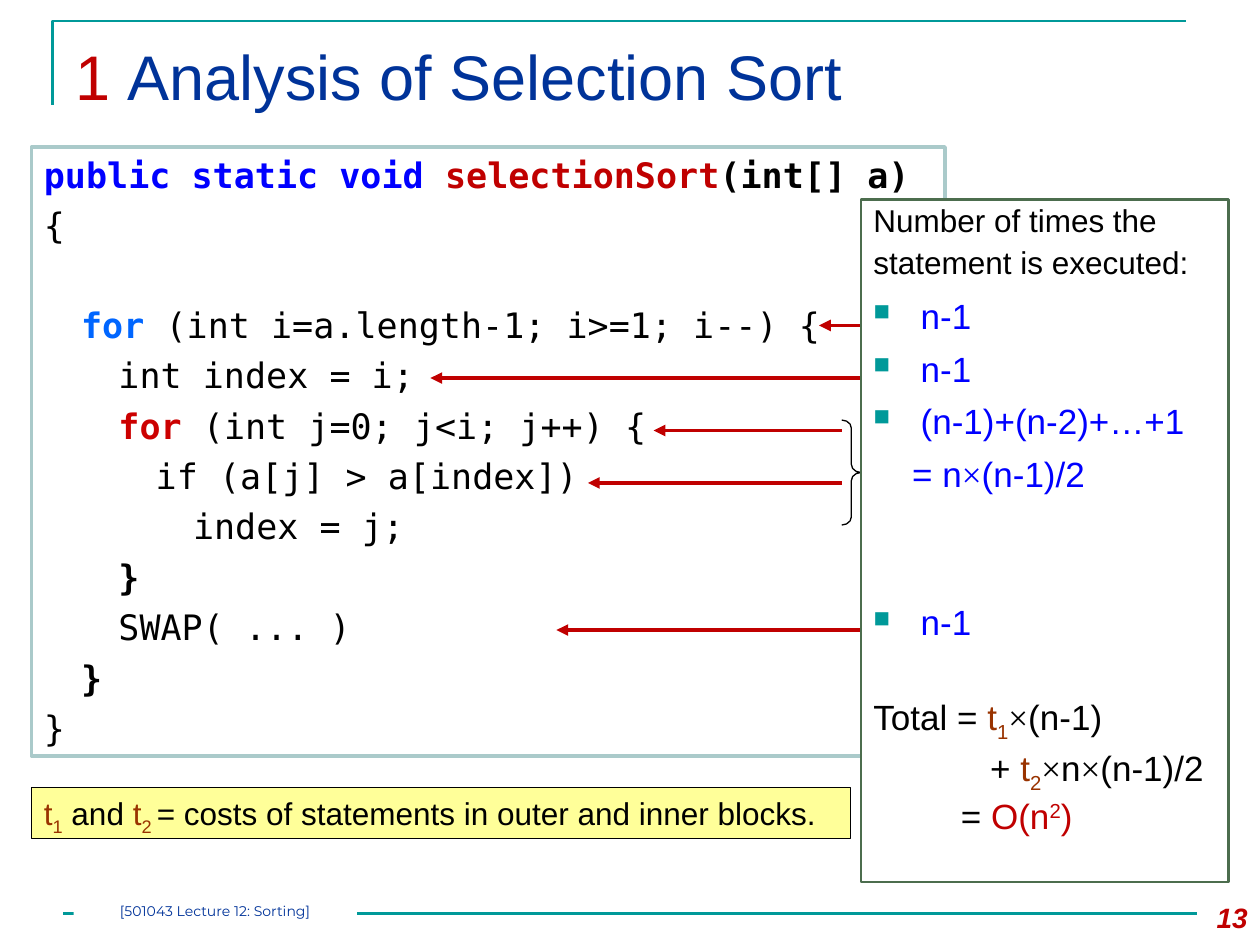
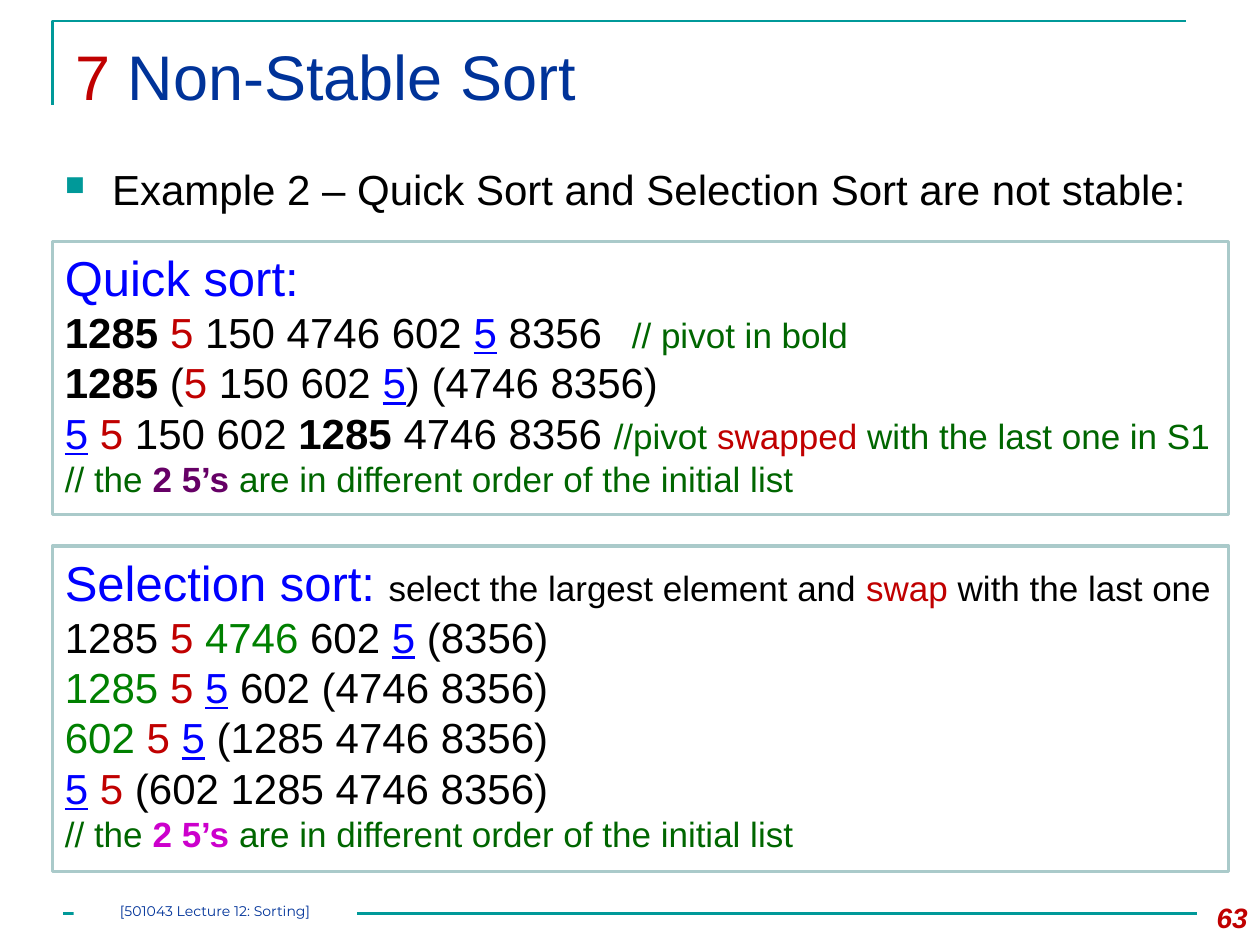
from dataclasses import dataclass
from typing import NamedTuple

from lxml import etree
from pptx import Presentation
from pptx.dml.color import RGBColor
from pptx.enum.shapes import MSO_CONNECTOR, MSO_SHAPE
from pptx.enum.text import MSO_ANCHOR, PP_ALIGN
from pptx.oxml.ns import qn
from pptx.util import Pt

STRAIGHT = MSO_CONNECTOR.STRAIGHT
RECTANGLE, RIGHT_BRACE = MSO_SHAPE.RECTANGLE, MSO_SHAPE.RIGHT_BRACE
TOP = MSO_ANCHOR.TOP
LEFT, CENTER, RIGHT = PP_ALIGN.LEFT, PP_ALIGN.CENTER, PP_ALIGN.RIGHT

SANS, MONO, SERIF, FOOTER_FONT = "Arial", "DejaVu Sans Mono", "Times New Roman", "Montserrat"
TEAL, PALE_TEAL, MOSS = "009999", "AACACA", "4C6D4E"
NAVY, BLUE, SKY = "003399", "0000FF", "0066FF"
RED, BRIGHT_RED, RUST = "C00000", "CC0000", "993300"
GREEN, COMMENT_GREEN = "008000", "006600"
PLUM, MAGENTA = "660066", "CC00CC"
BLACK, WHITE, YELLOW = "000000", "FFFFFF", "FFFF99"
CODE_INDENT = 21.3
HANG = 27


class Area(NamedTuple):
    left: float
    top: float
    width: float
    height: float


class Span(NamedTuple):
    text: str
    color: str = BLACK
    bold: bool = False
    italic: bool = False
    underline: bool = False
    size: float | None = None
    font: str | None = None
    baseline: int = 0


@dataclass
class Line:
    spans: list[Span]
    size: float = 20
    font: str = SANS
    before: float = 0
    spacing: float | None = None
    left: float = 0
    bullet: bool = False
    tab: float | None = None
    align: PP_ALIGN = LEFT


def rgb(value: str) -> RGBColor:
    return RGBColor.from_string(value)


def add_child(parent, tag: str, **attributes: str):
    return etree.SubElement(parent, qn(tag), attributes)


def write_line(para, line: Line) -> None:
    para.alignment = line.align
    para.space_before = Pt(line.before)
    if line.spacing:
        para.line_spacing = line.spacing
    properties = para._p.get_or_add_pPr()
    left = line.left + (HANG if line.bullet else 0)
    properties.set("marL", str(Pt(left)))
    properties.set("indent", str(Pt(-HANG if line.bullet else 0)))
    if line.bullet:
        add_child(add_child(properties, "a:buClr"), "a:srgbClr", val=TEAL)
        add_child(properties, "a:buSzPct", val="65000")
        add_child(properties, "a:buChar", char="■")
    if line.tab:
        add_child(add_child(properties, "a:tabLst"), "a:tab", pos=str(Pt(line.tab)), algn="l")
    for span in line.spans:
        run = para.add_run()
        run.text = span.text
        font = run.font
        font.name = span.font or line.font
        font.size = Pt(span.size or line.size)
        font.bold, font.italic, font.underline = span.bold, span.italic, span.underline
        font.color.rgb = rgb(span.color)
        if span.baseline:
            run._r.get_or_add_rPr().set("baseline", str(span.baseline * 1000))


def write_lines(shape, lines: list[Line], inset: bool = True) -> None:
    frame = shape.text_frame
    frame.word_wrap = True
    frame.vertical_anchor = TOP
    side, edge = (7.2, 3.6) if inset else (0, 0)
    frame.margin_left = frame.margin_right = Pt(side)
    frame.margin_top = frame.margin_bottom = Pt(edge)
    for index, line in enumerate(lines):
        write_line(frame.add_paragraph() if index else frame.paragraphs[0], line)


def add_text(page, area: Area, lines: list[Line]) -> None:
    write_lines(page.shapes.add_textbox(*map(Pt, area)), lines)


def add_box(page, area: Area, lines: list[Line], fill: str = WHITE,
            border: str | None = None, weight: float = 2, inset: bool = True) -> None:
    box = page.shapes.add_shape(RECTANGLE, *map(Pt, area))
    box.shadow.inherit = False
    box.fill.solid()
    box.fill.fore_color.rgb = rgb(fill)
    if border:
        box.line.color.rgb = rgb(border)
        box.line.width = Pt(weight)
    else:
        box.line.fill.background()
    write_lines(box, lines, inset)


def add_rule(page, start: float, end: float, y: float, color: str,
             weight: float, arrow: bool = False) -> None:
    rule = page.shapes.add_connector(STRAIGHT, Pt(start), Pt(y), Pt(end), Pt(y))
    rule.line.color.rgb = rgb(color)
    rule.line.width = Pt(weight)
    if arrow:
        add_child(rule.line._get_or_add_ln(), "a:tailEnd", type="triangle")
    add_child(rule._element.spPr, "a:effectLst")


def add_page(deck, section: str, title: str, number: str):
    page = deck.slides.add_slide(deck.slide_layouts[6])
    builder = page.shapes.build_freeform(Pt(30), Pt(60))
    builder.add_line_segments([(Pt(30), Pt(12)), (Pt(678), Pt(12))], close=False)
    corner = builder.convert_to_shape()
    corner.shadow.inherit = False
    corner.fill.background()
    corner.line.color.rgb = rgb(TEAL)
    corner.line.width = Pt(1.5)
    add_rule(page, 36, 684, 522, TEAL, 1.5)
    add_text(page, Area(36, 18, 648, 62),
             [Line([Span(section + " ", RED), Span(title, NAVY)], size=36)])
    add_text(page, Area(672, 511.2, 48, 28.8),
             [Line([Span(number, RED, bold=True, italic=True)], size=16, align=RIGHT)])
    add_box(page, Area(42, 516, 162, 12),
            [Line([Span("[501043 Lecture 12: Sorting]", NAVY)], size=8,
                  font=FOOTER_FONT, align=CENTER)], inset=False)
    return page


def code(level: int, *spans: Span, before: float = 4.8) -> Line:
    return Line(list(spans), font=MONO, before=before, left=level * CODE_INDENT)


def count(text: str, before: float = 6) -> Line:
    return Line([Span(text, BLUE)], before=before, bullet=True)


def total(*spans: Span, left: float = 0, before: float = 4.8) -> Line:
    return Line(list(spans), before=before, spacing=0.9, left=left)


def cost(index: str) -> list[Span]:
    return [Span("t", RUST), Span(index, RUST, baseline=-25)]


def times(color: str = BLACK) -> Span:
    return Span("×", color, font=SERIF)


def red(text: str) -> Span:
    return Span(text, RED)


def green(text: str) -> Span:
    return Span(text, GREEN)


def bold(text: str) -> Span:
    return Span(text, bold=True)


def remark(text: str, color: str = COMMENT_GREEN) -> Span:
    return Span(text, color, size=20)


def numbers(*spans: Span, tab: float | None = None) -> Line:
    return Line(list(spans), size=24, tab=tab)


def order_remark(color: str) -> Line:
    return Line([remark("// the "), Span("2 5’s ", color, bold=True),
                 remark("are in different order of the initial list")])


def build_analysis(deck) -> None:
    page = add_page(deck, "1", "Analysis of Selection Sort", "13")
    add_box(page, Area(18, 84, 522, 348), [
        code(0, Span("public static void ", BLUE, bold=True),
             Span("selectionSort", RED, bold=True), bold("(int[] a)"), before=0),
        code(0, Span("{")),
        code(1, Span("for", SKY, bold=True), Span(" (int i=a.length-1; i>=1; i--) {"), before=32.9),
        code(2, Span("int index = i;")),
        code(2, Span("for", BRIGHT_RED, bold=True), Span(" (int j=0; j<i; j++) {")),
        code(3, Span("if (a[j] > a[index])")),
        code(4, Span("index = j;")),
        code(2, bold("}")),
        code(2, Span("SWAP( ... )")),
        code(1, bold("}")),
        code(0, Span("}")),
    ], border=PALE_TEAL)

    for start, end, y in [(498, 468, 186), (498, 246, 216), (492, 318, 360),
                          (481, 373.5, 246), (481, 336, 276)]:
        add_rule(page, start, end, y, RED, 2.25, arrow=True)

    brace = page.shapes.add_shape(RIGHT_BRACE, Pt(481), Pt(240), Pt(11), Pt(60))
    brace.shadow.inherit = False
    brace.adjustments[0] = 0.42
    brace.fill.background()
    brace.line.color.rgb = rgb(BLACK)
    brace.line.width = Pt(0.75)

    add_box(page, Area(492, 114, 210, 390), [
        Line([Span("Number of times the")], size=18, spacing=0.9),
        Line([Span("statement is executed:")], size=18, spacing=0.9, before=4.3),
        count("n-1", before=7.6),
        count("n-1"),
        count("(n-1)+(n-2)+…+1"),
        Line([Span("= n", BLUE), times(BLUE), Span("(n-1)/2", BLUE)], before=6, left=22.2),
        count("n-1", before=61),
        total(Span("Total = "), *cost("1"), times(), Span("(n-1)"), before=30.3),
        total(Span("+ "), *cost("2"), times(), Span("n"), times(), Span("(n-1)/2"), left=66.7),
        total(Span("= "), red("O(n"), Span("2", RED, baseline=30), red(")"), left=50),
    ], border=MOSS, weight=1.5)

    add_box(page, Area(18, 450, 468, 29), [
        Line([*cost("1"), Span(" and "), *cost("2 "),
              Span("= costs of statements in outer and inner blocks.")], size=18),
    ], fill=YELLOW, border=BLACK, weight=0.75)


def build_stability(deck) -> None:
    page = add_page(deck, "7", "Non-Stable Sort", "63")
    add_text(page, Area(30, 90, 672, 48), [
        Line([Span("Example 2 – Quick Sort and Selection Sort are not stable:")],
             size=24, bullet=True)])

    first = red("5")
    second = Span("5", BLUE, underline=True)
    add_box(page, Area(30, 138, 672, 156), [
        Line([Span("Quick sort:", BLUE)], size=28),
        numbers(bold("1285 "), first, Span(" 150 4746 602 "), second, Span(" 8356"),
                remark("\t// pivot in bold"), tab=346.5),
        numbers(bold("1285"), Span(" ("), first, Span(" 150 602 "), second,
                Span(") (4746 8356)")),
        numbers(second, Span(" "), first, Span(" 150 602 "), bold("1285"), Span(" 4746 8356 "),
                remark("//pivot "), remark("swapped", RED), remark(" with the last one in S1")),
        order_remark(PLUM),
    ], border=PALE_TEAL)

    add_box(page, Area(30, 312, 672, 186), [
        Line([Span("Selection sort: ", BLUE), remark("select the largest element and ", BLACK),
              remark("swap", RED), remark(" with the last one", BLACK)], size=28),
        numbers(Span("1285 "), first, Span(" "), green("4746"), Span(" 602 "), second,
                Span(" (8356)")),
        numbers(green("1285 "), first, Span(" "), second, Span(" 602 (4746 8356)")),
        numbers(green("602 "), first, Span(" "), second, Span(" (1285 4746 8356)")),
        numbers(second, Span(" "), first, Span(" (602 1285 4746 8356)")),
        order_remark(MAGENTA),
    ], border=PALE_TEAL)


def main() -> None:
    deck = Presentation()
    deck.slide_width, deck.slide_height = Pt(720), Pt(540)
    build_analysis(deck)
    build_stability(deck)
    deck.save("out.pptx")


if __name__ == "__main__":
    main()
